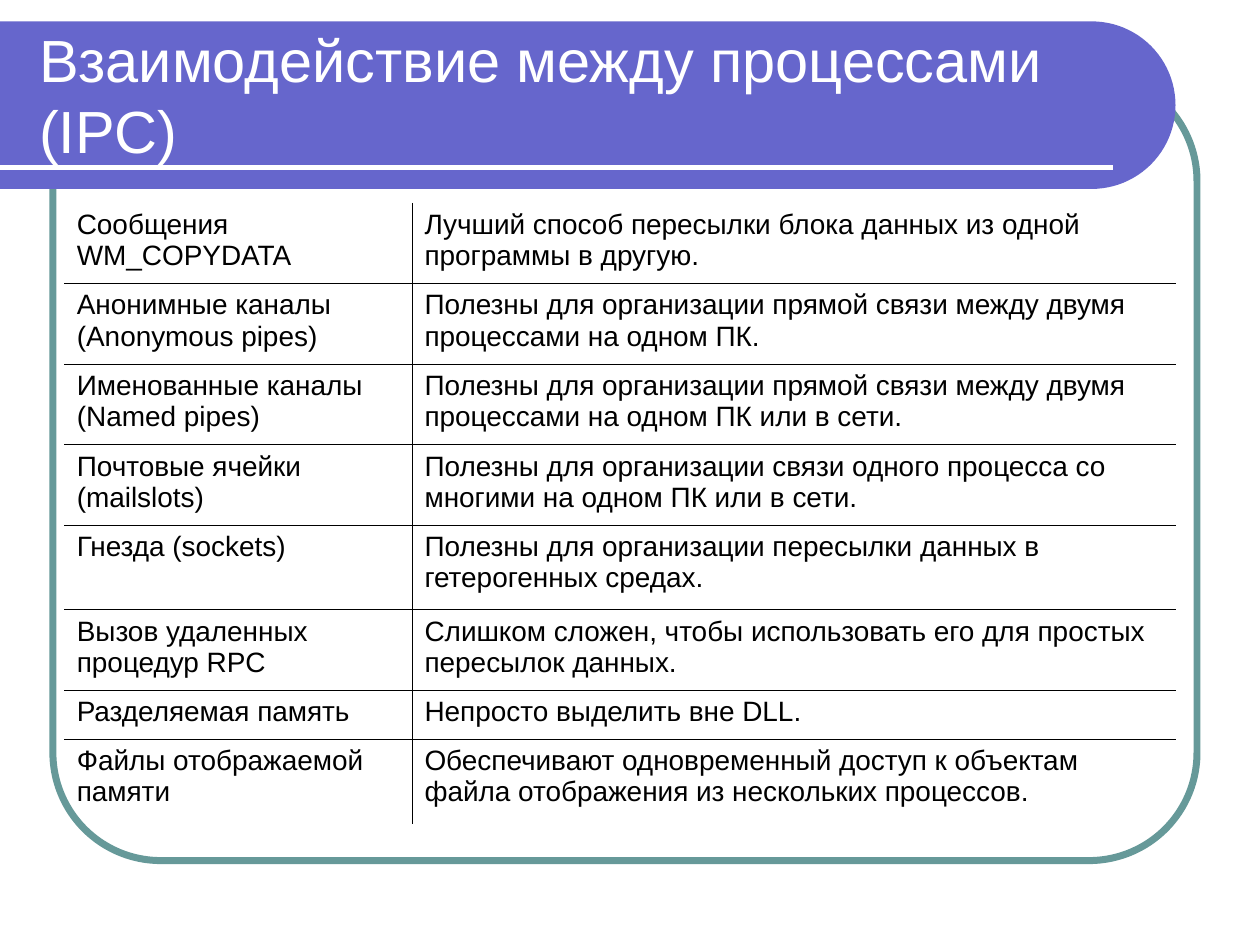
"""Build a slide with a table of inter-process communication methods."""
from dataclasses import dataclass
from math import cos, pi, sin
from typing import NamedTuple

from lxml.etree import SubElement as Sub
from pptx import Presentation
from pptx.dml.color import RGBColor as Rgb
from pptx.enum.shapes import MSO_CONNECTOR as Link, MSO_SHAPE as Kind
from pptx.enum.text import MSO_ANCHOR as Anchor, MSO_AUTO_SIZE as Auto, PP_ALIGN as Align
from pptx.oxml import parse_xml
from pptx.oxml.ns import nsdecls, qn
from pptx.util import Inches, Pt


@dataclass(frozen=True)
class Theme:
    font: str = "Arial"
    head: int = 34
    body: int = 16
    bar: str = "6666CC"
    frame: str = "669999"
    light: str = "FFFFFF"
    dark: str = "000000"
    rule: float = 0.45


class Box(NamedTuple):
    left: float
    top: float
    width: float
    height: float

    def size(self) -> list[int]:
        return [Inches(v) for v in self]


class Row(NamedTuple):
    name: str
    note: str
    tall: float = 0.64


THEME = Theme()
WIDE, HIGH = 10, 7.5
FRAME = Box(0.42, 0.58, 9.08, 6.25)
BAR = Box(0, 0.17, 9.33, 1.33)
TITLE = Box(0.21, 0.25, 8.77, 1)
TABLE = Box(0.51, 1.61, 8.82, 4.91)
COLS = (2.76, 6.06)
ROWS = (
    Row("Сообщения WM_COPYDATA",
        "Лучший способ пересылки блока данных из одной программы в другую."),
    Row("Анонимные каналы (Anonymous pipes)",
        "Полезны для организации прямой связи между двумя процессами на одном ПК."),
    Row("Именованные каналы (Named pipes)",
        "Полезны для организации прямой связи между двумя процессами на одном ПК или в сети."),
    Row("Почтовые ячейки (mailslots)",
        "Полезны для организации связи одного процесса со многими на одном ПК или в сети."),
    Row("Гнезда (sockets)",
        "Полезны для организации пересылки данных в гетерогенных средах.", 0.67),
    Row("Вызов удаленных процедур RPC",
        "Слишком сложен, чтобы использовать его для простых пересылок данных."),
    Row("Разделяемая память", "Непросто выделить вне DLL.", 0.39),
    Row("Файлы отображаемой памяти",
        "Обеспечивают одновременный доступ к объектам файла отображения из нескольких процессов.",
        0.67),
)


def style(para, size: int, color: str) -> None:
    para.alignment = Align.LEFT
    for run in para.runs:
        run.font.name = THEME.font
        run.font.size = Pt(size)
        run.font.color.rgb = Rgb.from_string(color)


def draw_frame(shapes) -> None:
    frame = shapes.add_shape(Kind.ROUNDED_RECTANGLE, *FRAME.size())
    frame.adjustments[0] = 0.137
    frame.shadow.inherit = False
    frame.fill.background()
    frame.line.color.rgb = Rgb.from_string(THEME.frame)
    frame.line.width = Pt(4)


def draw_bar(shapes, steps: int = 48) -> None:
    rad = BAR.height / 2
    mid_x, mid_y = BAR.width - rad, BAR.top + rad
    turns = [pi * (i / steps - 0.5) for i in range(steps + 1)]
    arc = [(mid_x + rad * cos(t), mid_y + rad * sin(t)) for t in turns]
    path = shapes.build_freeform(0, Inches(BAR.top), scale=1.0)
    path.add_line_segments(
        [(Inches(x), Inches(y)) for x, y in arc + [(0, BAR.top + BAR.height)]])
    bar = path.convert_to_shape()
    bar.shadow.inherit = False
    bar.fill.solid()
    bar.fill.fore_color.rgb = Rgb.from_string(THEME.bar)
    bar.line.fill.background()


def draw_line(shapes) -> None:
    y = Inches(1.33)
    line = shapes.add_connector(Link.STRAIGHT, 0, y, Inches(8.83), y)
    line.line.color.rgb = Rgb.from_string(THEME.light)
    line.line.width = Pt(3)
    Sub(line._element.spPr, qn("a:effectLst"))


def set_title(shapes) -> None:
    title = shapes.title
    title.left, title.top, title.width, title.height = TITLE.size()
    frame = title.text_frame
    frame.text = "Взаимодействие между процессами (IPC)"
    frame.word_wrap = True
    frame.auto_size = Auto.NONE
    frame.vertical_anchor = Anchor.MIDDLE
    style(frame.paragraphs[0], THEME.head, THEME.light)
    shapes._spTree.append(title._element)


def set_edges(cell, **edges: bool) -> None:
    props = cell._tc.get_or_add_tcPr()
    for spot, side in enumerate("LRTB"):
        fill = (f'<a:solidFill><a:srgbClr val="{THEME.dark}"/></a:solidFill>'
                if edges[side] else "<a:noFill/>")
        props.insert(spot, parse_xml(
            f'<a:ln{side} {nsdecls("a")} w="{Pt(THEME.rule)}">{fill}</a:ln{side}>'))


def draw_table(shapes) -> None:
    table = shapes.add_table(len(ROWS), len(COLS), *TABLE.size()).table
    table.first_row = table.horz_banding = False
    for col, width in zip(table.columns, COLS):
        col.width = Inches(width)
    for r, row in enumerate(ROWS):
        table.rows[r].height = Inches(row.tall)
        for c, text in enumerate((row.name, row.note)):
            cell = table.cell(r, c)
            cell.text_frame.text = text
            style(cell.text_frame.paragraphs[0], THEME.body, THEME.dark)
            cell.fill.background()
            set_edges(cell, L=c > 0, R=c < len(COLS) - 1,
                      T=r > 0, B=r < len(ROWS) - 1)


def main() -> None:
    deck = Presentation()
    deck.slide_width, deck.slide_height = Inches(WIDE), Inches(HIGH)
    shapes = deck.slides.add_slide(deck.slide_layouts[5]).shapes
    draw_frame(shapes)
    draw_bar(shapes)
    draw_line(shapes)
    set_title(shapes)
    draw_table(shapes)
    deck.save("out.pptx")


if __name__ == "__main__":
    main()
